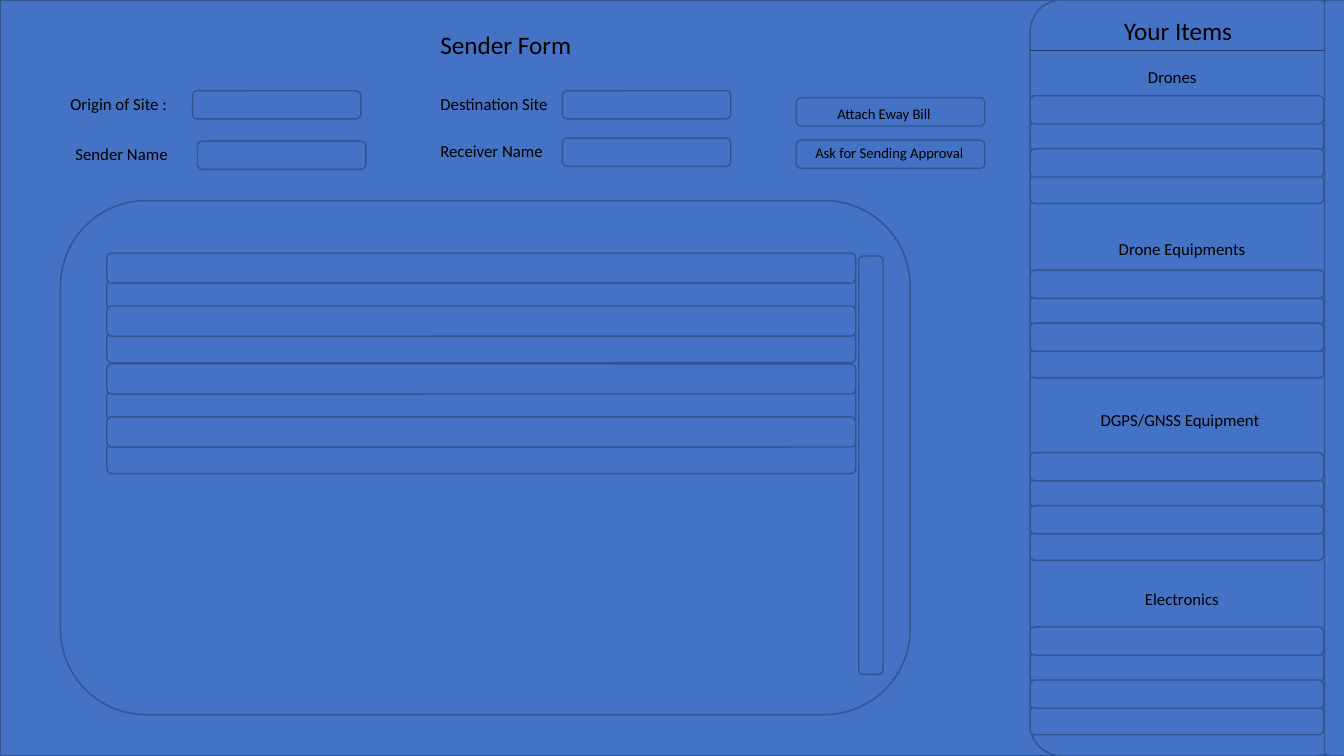
from lxml.etree import SubElement
from pptx import Presentation
from pptx.dml.color import RGBColor
from pptx.enum.shapes import MSO_CONNECTOR, MSO_SHAPE
from pptx.enum.text import MSO_AUTO_SIZE
from pptx.oxml.ns import qn
from pptx.util import Inches, Pt

BLUE = RGBColor(0x44, 0x72, 0xC4)
EDGE = RGBColor(0x32, 0x54, 0x91)
NAVY = RGBColor(0x20, 0x38, 0x64)
BLACK = RGBColor(0, 0, 0)

CELL = Inches(0.1)
COLS, ROWS = 133.33, 75
FIELD = (16.7, 2.8)
BUTTON = (18.7, 2.8)
PITCH = 2.63
STACK_ORDER = (1, 0, 3, 2)
PANEL_LEFT, PANEL_WIDTH = 102.2, 29.1

TITLE = {"size": Pt(18), "name": "Calibri"}
LABEL = {"size": Pt(12), "name": "Calibri"}
SMALL = {"size": Pt(10.5), "name": "Calibri"}
FRAME = {"word_wrap": False, "auto_size": MSO_AUTO_SIZE.SHAPE_TO_FIT_TEXT}

LABELS = [
    ("Sender Form", 42.7, 2.4, 15.2, 4, TITLE),
    ("Your Items", 110.5, 1, 12.9, 4, TITLE),
    ("Origin of Site :", 6, 8.8, 11.7, 3, LABEL),
    ("Destination Site", 42.7, 8.8, 12.8, 3, LABEL),
    ("Sender Name", 6.5, 13.8, 11.3, 3, LABEL),
    ("Receiver Name", 42.7, 13.5, 12.3, 3, LABEL),
    ("Ask for Sending Approval", 79.9, 13.8, 17, 2.8, SMALL),
    ("Attach Eway Bill", 82.1, 9.9, 12, 2.8, SMALL),
]
FIELDS = [(19.1, 9), (55.8, 9), (19.6, 14), (55.8, 13.7)]
BUTTONS = [(79, 13.9), (79, 9.7)]
CATEGORIES = [
    ("Drones", 112.9, 6.1, 6.9, 9.5),
    ("Drone Equipments", 110, 23.2, 14.7, 26.8),
    ("DGPS/GNSS Equipment", 108.2, 40.2, 17.9, 44.9),
    ("Electronics", 112.6, 57.9, 9.4, 62.2),
]


def grid(*cells):
    """Turn grid columns and rows into slide lengths."""
    return [round(c * CELL) for c in cells]


def set_all(obj, values):
    """Set each named attribute of an object."""
    for name, value in values.items():
        setattr(obj, name, value)


def add_box(s, x, y, w, h, kind=MSO_SHAPE.ROUNDED_RECTANGLE, corner=None):
    """Draw one blue outlined box."""
    sp = s.shapes.add_shape(kind, *grid(x, y, w, h))
    sp.shadow.inherit = False
    sp.fill.solid()
    sp.fill.fore_color.rgb = BLUE
    sp.line.color.rgb = EDGE
    sp.line.width = Pt(1)
    if corner is not None:
        sp.adjustments[0] = corner


def add_label(s, text, x, y, w, h, font):
    """Write one unwrapped line of text."""
    tf = s.shapes.add_textbox(*grid(x, y, w, h)).text_frame
    set_all(tf, FRAME)
    r = tf.paragraphs[0].add_run()
    r.text = text
    set_all(r.font, font)
    r.font.color.rgb = BLACK


def add_stack(s, x, y, w, h):
    """Draw four overlapping rows, odd ones on top."""
    for i in STACK_ORDER:
        add_box(s, x, y + i * PITCH, w, h)


def add_rule(s, x, y, w):
    """Draw a thin horizontal line."""
    x1, y1, x2 = grid(x, y, x + w)
    ln = s.shapes.add_connector(MSO_CONNECTOR.STRAIGHT, x1, y1, x2, y1)
    ln.line.color.rgb = NAVY
    ln.line.width = Pt(0.25)
    SubElement(ln._element.spPr, qn("a:effectLst"))


def add_form(s):
    """Draw the item list, the fields and the buttons."""
    add_box(s, 6, 19.9, 84.3, 51)
    add_box(s, 85.2, 25.4, 2.4, 41.5)
    for top in (25.1, 36.1):
        add_stack(s, 10.6, top, 74.3, 3)
    for x, y in FIELDS:
        add_box(s, x, y, *FIELD)
    for x, y in BUTTONS:
        add_box(s, x, y, *BUTTON)


def add_items_panel(s):
    """Draw the side panel with its categories."""
    add_box(s, PANEL_LEFT, 0, 31.4, ROWS, corner=0.1)
    add_box(s, 131.4, 0, 2.4, ROWS)
    for text, x, y, w, top in CATEGORIES:
        add_stack(s, PANEL_LEFT, top, PANEL_WIDTH, 2.8)
        add_label(s, text, x, y, w, 3, LABEL)
    add_rule(s, PANEL_LEFT, 5, PANEL_WIDTH)


def main():
    """Build the slide and save it."""
    prs = Presentation()
    prs.slide_width, prs.slide_height = grid(COLS, ROWS)
    s = prs.slides.add_slide(prs.slide_layouts[6])
    add_box(s, 0, 0, COLS, ROWS, MSO_SHAPE.RECTANGLE)
    add_form(s)
    add_items_panel(s)
    for label in LABELS:
        add_label(s, *label)
    prs.save("out.pptx")


if __name__ == "__main__":
    main()
